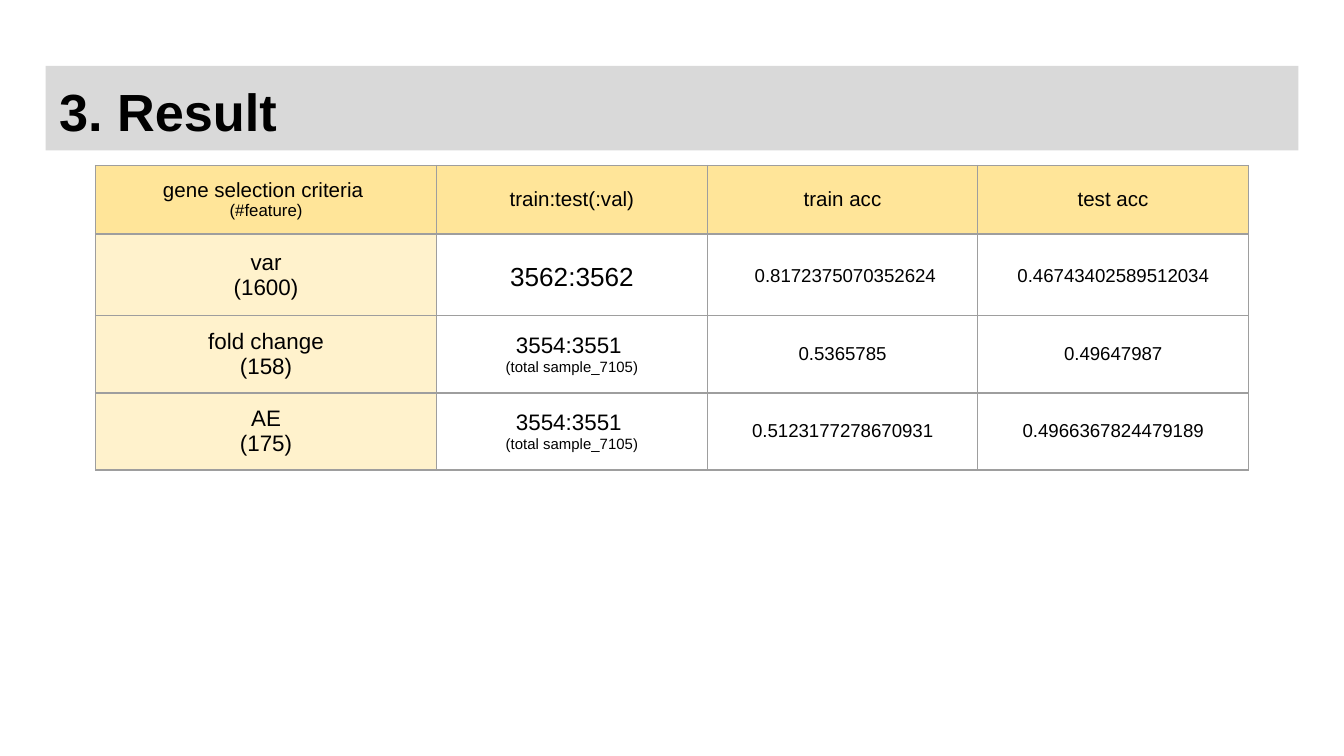
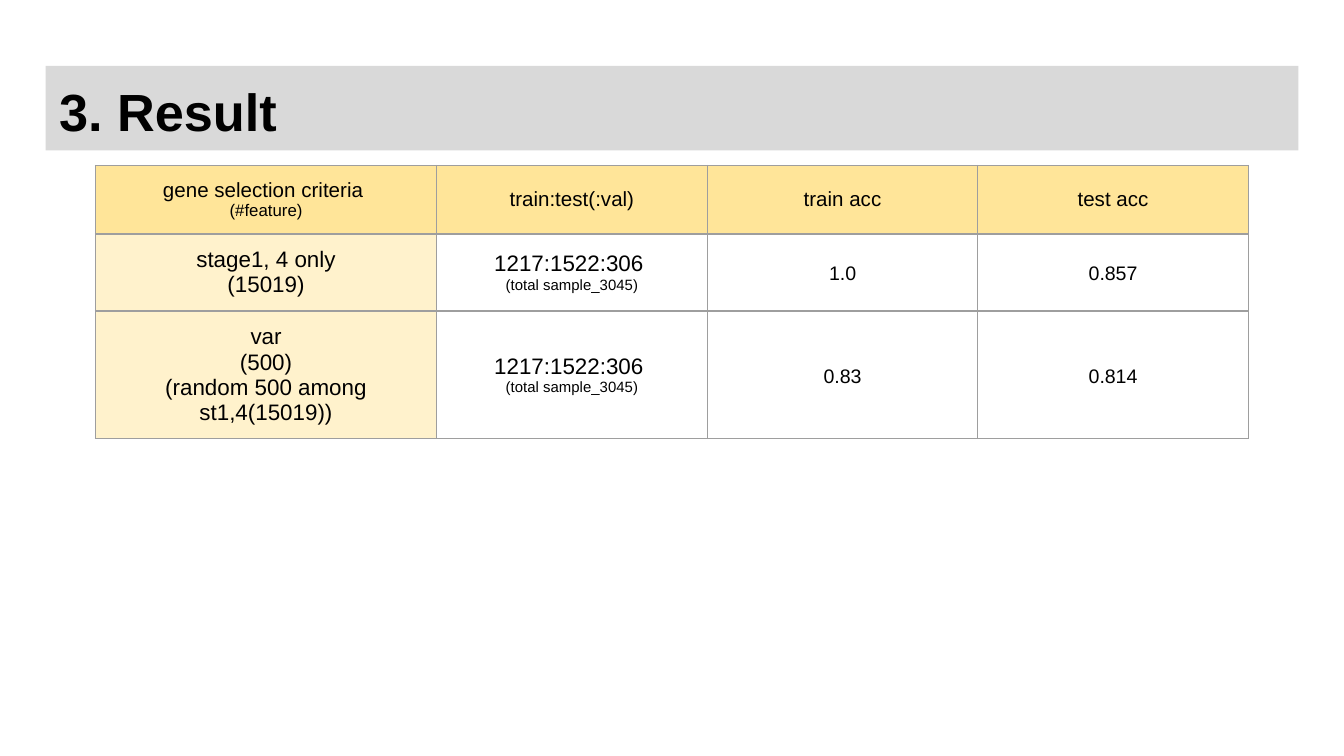
from dataclasses import dataclass

from lxml import etree
from pptx import Presentation
from pptx import util as u
from pptx.dml import color as dml
from pptx.enum import text
from pptx.oxml import ns

COLORS = {
    "text": "000000",
    "band": "D9D9D9",
    "header": "FFE599",
    "criteria": "FFF2CC",
    "border": "9E9E9E",
}
FONT = "Arial"
SLIDE_W = u.Inches(10)
SLIDE_H = SLIDE_W * 9 // 16
MARGIN = u.Inches(0.1)
BORDER = u.Pt(0.75)

BAND_X, BAND_Y, BAND_H = 3.4, 8.71, 11.2
TABLE_X, TABLE_Y, TABLE_W = 7.1, 21.87, 85.8
CRITERIA_W = 25.4
VALUE_W = (TABLE_W - CRITERIA_W) / 3
COLUMNS = (CRITERIA_W, VALUE_W, VALUE_W, VALUE_W)


@dataclass(frozen=True)
class Line:
    text: str
    size: float


@dataclass(frozen=True)
class Cell:
    lines: tuple[Line, ...]
    fill: str | None = None
    spacing: float | None = None


@dataclass(frozen=True)
class Row:
    height: float
    cells: tuple[Cell, ...]


def across(percent: float) -> int:
    return round(SLIDE_W * percent / 100)


def down(percent: float) -> int:
    return round(SLIDE_H * percent / 100)


def criteria(*names: str) -> Cell:
    return Cell(tuple(Line(name, 12) for name in names), "criteria")


def split(ratio: str, total: int) -> Cell:
    return Cell((Line(f"{ratio} ", 12), Line(f"(total sample_{total})", 8)))


def value(label: str, size: float = 10, spacing: float | None = None) -> Cell:
    return Cell((Line(label, size),), spacing=spacing)


def heading(label: str, note: str = "") -> Cell:
    lines = (Line(label, 11),) + ((Line(note, 9),) if note else ())
    return Cell(lines, "header")


HEADER = Row(7.29, (
    heading("gene selection criteria ", "(#feature)"),
    heading("train:test(:val)"),
    heading("train acc"),
    heading("test acc"),
))

ALL_STAGES = (
    HEADER,
    Row(10.84, (criteria("var", "(1600)"), value("3562:3562", 14, 1.15),
                value(" 0.8172375070352624", spacing=1.15),
                value("0.46743402589512034", spacing=1.15))),
    Row(9.42, (criteria("fold change", "(158)"), split("3554:3551", 7105),
               value("0.5365785"), value("0.49647987"))),
    Row(8.71, (criteria("AE", "(175)"), split("3554:3551", 7105),
               value("0.5123177278670931"), value("0.4966367824479189"))),
)

TWO_STAGES = (
    HEADER,
    Row(8.71, (criteria("stage1, 4 only", "(15019)"), split("1217:1522:306", 3045),
               value("1.0", 10.5, 1.15), value("0.857", 10.5, 1.15))),
    Row(8.71, (criteria("var", "(500)", "(random 500 among st1,4(15019))"),
               split("1217:1522:306", 3045),
               value("0.83", 10.5, 1.15), value("0.814", 10.5, 1.15))),
)


def rgb(name: str) -> dml.RGBColor:
    return dml.RGBColor.from_string(COLORS[name])


def format_runs(p, size: float, bold: bool = False) -> None:
    for r in p.runs:
        r.font.name = FONT
        r.font.size = u.Pt(size)
        r.font.bold = bold
        r.font.color.rgb = rgb("text")


def set_margins(box) -> None:
    box.margin_left = box.margin_right = MARGIN
    box.margin_top = box.margin_bottom = MARGIN


def add_title(slide, title: str) -> None:
    sp = slide.shapes.title
    sp.left, sp.top = across(BAND_X), down(BAND_Y)
    sp.width, sp.height = across(100 - 2 * BAND_X), down(BAND_H)
    sp.fill.solid()
    sp.fill.fore_color.rgb = rgb("band")
    tf = sp.text_frame
    tf.text = title
    tf.word_wrap = True
    tf.auto_size = text.MSO_AUTO_SIZE.NONE
    tf.vertical_anchor = text.MSO_ANCHOR.TOP
    set_margins(tf)
    p = tf.paragraphs[0]
    p.alignment = text.PP_ALIGN.LEFT
    format_runs(p, 28, bold=True)


def add_borders(tc) -> None:
    props = tc.get_or_add_tcPr()
    for side in ("lnL", "lnR", "lnT", "lnB"):
        ln = etree.SubElement(props, ns.qn(f"a:{side}"), w=str(int(BORDER)))
        fill = etree.SubElement(ln, ns.qn("a:solidFill"))
        etree.SubElement(fill, ns.qn("a:srgbClr"), val=COLORS["border"])


def fill_cell(target, cell: Cell) -> None:
    add_borders(target._tc)
    if cell.fill:
        target.fill.solid()
        target.fill.fore_color.rgb = rgb(cell.fill)
    else:
        target.fill.background()
    target.vertical_anchor = text.MSO_ANCHOR.MIDDLE
    set_margins(target)
    tf = target.text_frame
    tf.text = "\n".join(line.text for line in cell.lines)
    for p, line in zip(tf.paragraphs, cell.lines):
        p.alignment = text.PP_ALIGN.CENTER
        if cell.spacing:
            p.line_spacing = cell.spacing
        format_runs(p, line.size)


def add_results(slide, rows: tuple[Row, ...]) -> None:
    frame = slide.shapes.add_table(
        len(rows), len(COLUMNS), across(TABLE_X), down(TABLE_Y),
        across(TABLE_W), down(sum(row.height for row in rows)))
    table = frame.table
    table.first_row = table.horz_banding = False
    for column, width in zip(table.columns, COLUMNS):
        column.width = across(width)
    for table_row, row in zip(table.rows, rows):
        table_row.height = down(row.height)
        for target, cell in zip(table_row.cells, row.cells):
            fill_cell(target, cell)


def main() -> None:
    prs = Presentation()
    prs.slide_width, prs.slide_height = SLIDE_W, SLIDE_H
    for rows in (ALL_STAGES, TWO_STAGES):
        slide = prs.slides.add_slide(prs.slide_layouts[5])
        add_title(slide, "3. Result")
        add_results(slide, rows)
    prs.save("out.pptx")


if __name__ == "__main__":
    main()
